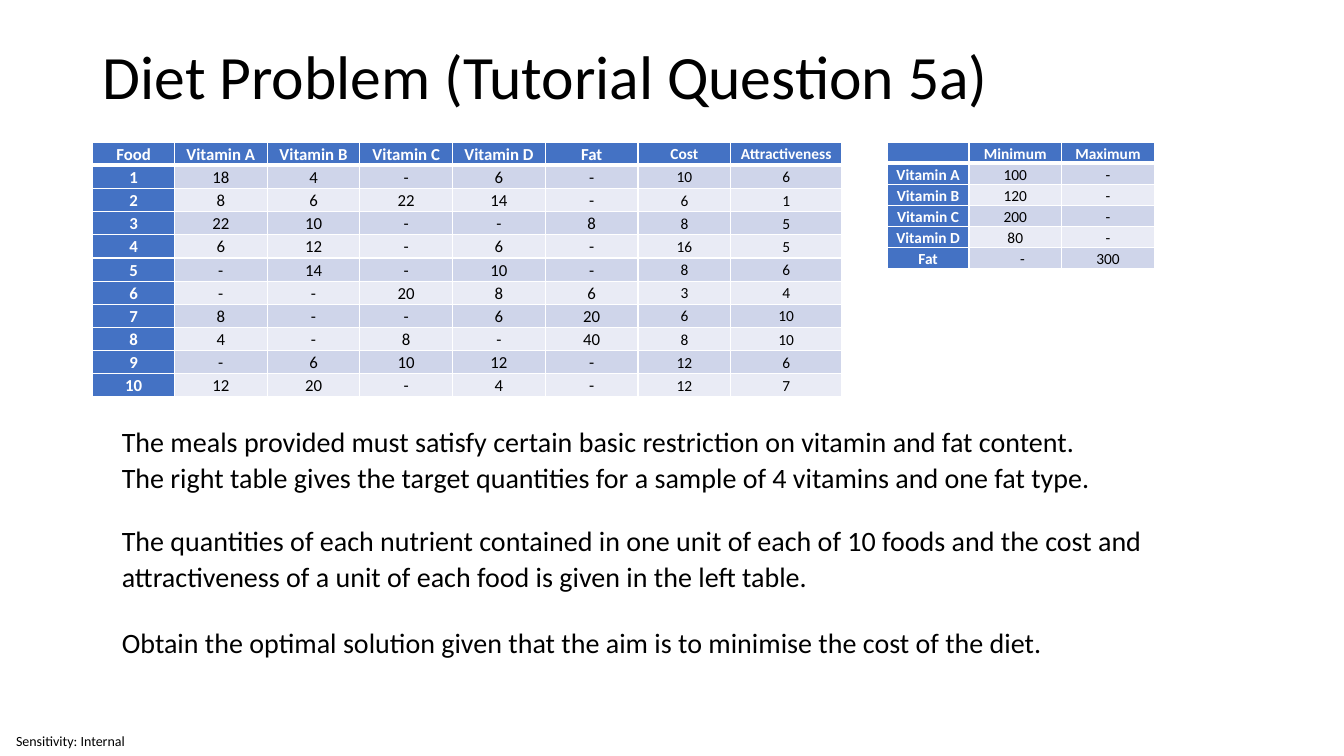
from dataclasses import dataclass

import pptx
import pptx.dml.color
import pptx.enum.text
import pptx.oxml.ns
import pptx.util
from lxml import etree

Inches = pptx.util.Inches
Anchor = pptx.enum.text.MSO_ANCHOR
Align = pptx.enum.text.PP_ALIGN


@dataclass(frozen=True)
class Theme:
    font: str = "Calibri"
    ink: str = "000000"
    white: str = "FFFFFF"
    header: str = "4472C4"
    bands: tuple[str, str] = ("CFD5EA", "E9EBF5")
    title_size: int = 44
    body_size: int = 20
    table_size: int = 12
    small_table_size: int = 11
    label_size: int = 10
    line_spacing: float = 1.07


@dataclass(frozen=True)
class TextItem:
    text: str
    left: float
    top: float
    width: float
    height: float
    size: int
    line_spacing: float = 1.0
    indent: float = 0
    space_after: int = 0
    anchor: Anchor = Anchor.TOP
    insets: tuple[float, float] = (0.1, 0.05)


@dataclass(frozen=True)
class Grid:
    rows: list[list[str]]
    left: float
    top: float
    widths: list[float]
    row_height: float
    sizes: list[int]
    anchor: Anchor
    shifts: dict[tuple[int, int], float]


THEME = Theme()

FOODS = [
    "Food|Vitamin A|Vitamin B|Vitamin C|Vitamin D|Fat|Cost|Attractiveness",
    "1|18|4|-|6|-|10|6",
    "2|8|6|22|14|-|6|1",
    "3|22|10|-|-|8|8|5",
    "4|6|12|-|6|-|16|5",
    "5|-|14|-|10|-|8|6",
    "6|-|-|20|8|6|3|4",
    "7|8|-|-|6|20|6|10",
    "8|4|-|8|-|40|8|10",
    "9|-|6|10|12|-|12|6",
    "10|12|20|-|4|-|12|7",
]
TARGETS = [
    "|Minimum|Maximum",
    "Vitamin A|100|-",
    "Vitamin B|120|-",
    "Vitamin C|200|-",
    "Vitamin D|80|-",
    "Fat|-|300",
]
GRIDS = [
    Grid([row.split("|") for row in FOODS], 0.92, 1.41, [0.81] + [0.92] * 6 + [1.1], 0.23,
         [THEME.table_size] * 6 + [THEME.small_table_size] * 2, Anchor.MIDDLE, {}),
    Grid([row.split("|") for row in TARGETS], 8.8, 1.41, [0.81, 0.92, 0.92], 0.21,
         [THEME.small_table_size] * 3, Anchor.BOTTOM, {(5, 1): 0.14}),
]


def body_item(text: str, top: float, width: float, height: float) -> TextItem:
    return TextItem(text, 0.61, top, width, height, THEME.body_size, THEME.line_spacing, 0.5, 8)


TEXTS = [
    TextItem("Sensitivity: Internal", 0, 7.21, 1.4, 0.29, THEME.label_size,
             anchor=Anchor.MIDDLE, insets=(0.16, 0)),
    TextItem("Diet Problem (Tutorial Question 5a)", 0.92, 0.4, 11.5, 0.77, THEME.title_size,
             0.9, anchor=Anchor.MIDDLE),
    body_item("The meals provided must satisfy certain basic restriction on vitamin and fat content. "
              "The right table gives the target quantities for a sample of 4 vitamins and one fat type.",
              4.14, 10.31, 0.81),
    body_item("The quantities of each nutrient contained in one unit of each of 10 foods and the cost "
              "and attractiveness of a unit of each food is given in the left table.",
              5.12, 11.5, 0.81),
    body_item("Obtain the optimal solution given that the aim is to minimise the cost of the diet.",
              6.13, 9.92, 0.45),
]


def style_spans(para, size: int, color: str, bold: bool = False) -> None:
    for span in para.runs:
        span.font.name = THEME.font
        span.font.size = pptx.util.Pt(size)
        span.font.bold = bold
        span.font.color.rgb = pptx.dml.color.RGBColor.from_string(color)


def add_text(page, item: TextItem) -> None:
    box = page.shapes.add_textbox(Inches(item.left), Inches(item.top),
                                  Inches(item.width), Inches(item.height))
    frame = box.text_frame
    frame.word_wrap = True
    frame.vertical_anchor = item.anchor
    horizontal, vertical = item.insets
    frame.margin_left = Inches(horizontal)
    frame.margin_right = Inches(min(horizontal, 0.1) if vertical else 0)
    frame.margin_top = frame.margin_bottom = Inches(vertical)
    frame.text = item.text
    para = frame.paragraphs[0]
    para.line_spacing = item.line_spacing
    para.space_after = pptx.util.Pt(item.space_after)
    if item.indent:
        properties = para._p.get_or_add_pPr()
        properties.set("marL", str(Inches(item.indent)))
        properties.set("indent", "0")
    style_spans(para, item.size, THEME.ink)


def add_borders(cell, bottom_width: int, top_width: int) -> None:
    properties = cell._tc.get_or_add_tcPr()
    widths = {"lnL": 1, "lnR": 1, "lnT": top_width, "lnB": bottom_width}
    for position, (side, width) in enumerate(widths.items()):
        line = etree.Element(pptx.oxml.ns.qn(f"a:{side}"), w=str(pptx.util.Pt(width)))
        fill = etree.SubElement(line, pptx.oxml.ns.qn("a:solidFill"))
        etree.SubElement(fill, pptx.oxml.ns.qn("a:srgbClr"), val=THEME.white)
        properties.insert(position, line)


def add_grid(page, grid: Grid) -> None:
    row_count = len(grid.rows)
    table = page.shapes.add_table(row_count, len(grid.widths), Inches(grid.left), Inches(grid.top),
                                  Inches(sum(grid.widths)),
                                  Inches(grid.row_height * row_count)).table
    for column, width in zip(table.columns, grid.widths):
        column.width = Inches(width)
    for row_index, values in enumerate(grid.rows):
        table.rows[row_index].height = Inches(grid.row_height)
        for column_index, value in enumerate(values):
            cell = table.cell(row_index, column_index)
            is_header = row_index == 0 or column_index == 0
            size = grid.sizes[column_index]
            cell.margin_left = Inches(0.07 + grid.shifts.get((row_index, column_index), 0))
            cell.margin_right = Inches(0.07)
            cell.margin_top = cell.margin_bottom = 0
            cell.vertical_anchor = grid.anchor
            cell.fill.solid()
            cell.fill.fore_color.rgb = pptx.dml.color.RGBColor.from_string(
                THEME.header if is_header else THEME.bands[(row_index - 1) % 2])
            cell.text_frame.text = value
            para = cell.text_frame.paragraphs[0]
            para.alignment = Align.CENTER
            para.line_spacing = THEME.line_spacing
            style_spans(para, size, THEME.white if is_header else THEME.ink, is_header)
            if not value:
                para._p.get_or_add_endParaRPr().set("sz", str(size * 100))
            add_borders(cell, 3 if row_index == 0 else 1, 3 if row_index == 1 else 1)


def main() -> None:
    deck = pptx.Presentation()
    deck.slide_width = Inches(13.33)
    deck.slide_height = Inches(7.5)
    page = deck.slides.add_slide(deck.slide_layouts[6])
    for grid in GRIDS:
        add_grid(page, grid)
    for item in TEXTS:
        add_text(page, item)
    deck.save("out.pptx")


if __name__ == "__main__":
    main()
